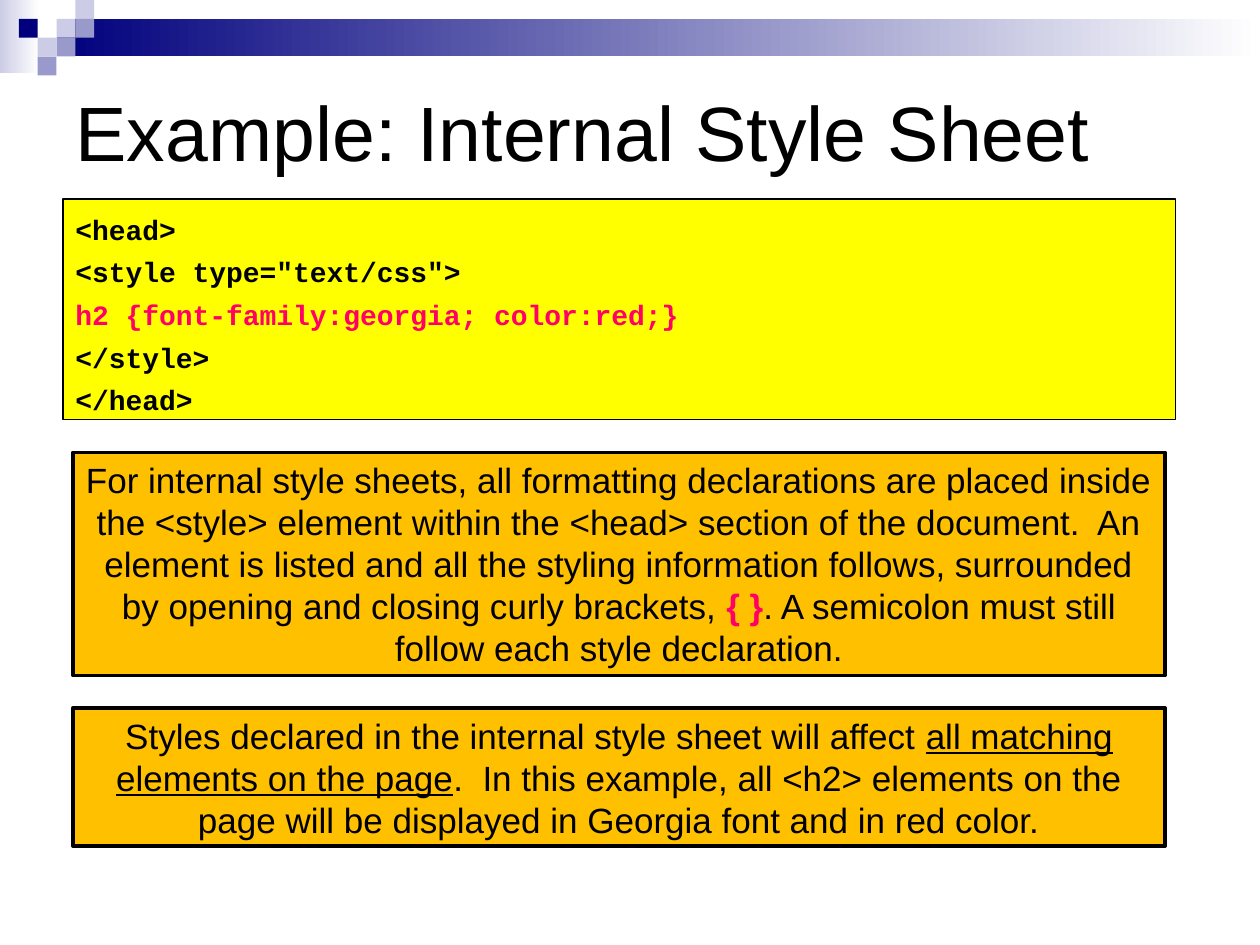
"""Build a slide that explains an internal style sheet with a code example."""

from pptx import Presentation
from pptx.dml.color import RGBColor
from pptx.enum.shapes import MSO_SHAPE
from pptx.enum.text import MSO_ANCHOR, PP_ALIGN
from pptx.util import Cm, Pt

RECTANGLE = MSO_SHAPE.RECTANGLE
TOP, MIDDLE = MSO_ANCHOR.TOP, MSO_ANCHOR.MIDDLE
LEFT, CENTER = PP_ALIGN.LEFT, PP_ALIGN.CENTER

BLACK = RGBColor(0x00, 0x00, 0x00)
WHITE = RGBColor(0xFF, 0xFF, 0xFF)
NAVY = RGBColor(0x00, 0x00, 0x7D)
LAVENDER = RGBColor(0xCC, 0xCC, 0xE6)
PERIWINKLE = RGBColor(0x99, 0x99, 0xCC)
YELLOW = RGBColor(0xFF, 0xFF, 0x00)
AMBER = RGBColor(0xFF, 0xC0, 0x00)
PINK = RGBColor(0xFF, 0x00, 0x66)

TITLE_FONT = {"name": "Arial", "size": Pt(44), "bold": False}
CODE_FONT = {"name": "Courier New", "size": Pt(16), "bold": True}
NOTE_FONT = {"name": "Arial", "size": Pt(20), "bold": False}
BOX_FRAME = {
    "word_wrap": True,
    "vertical_anchor": TOP,
    "margin_left": Cm(0.25),
    "margin_right": Cm(0.25),
    "margin_top": Cm(0.13),
    "margin_bottom": Cm(0.13),
}
CODE_FRAME = BOX_FRAME | {"margin_top": Cm(0.27)}

TILE = 0.38
TILES = [
    (3, 1, LAVENDER),
    (4, 0, LAVENDER),
    (4, 1, PERIWINKLE),
    (2, 2, LAVENDER),
    (1, 1, NAVY),
    (3, 2, PERIWINKLE),
    (2, 3, PERIWINKLE),
]

CODE_LINES = [
    ("<head>", BLACK),
    ('<style type="text/css">', BLACK),
    ("h2 {font-family:georgia; color:red;}", PINK),
    ("</style>", BLACK),
    ("</head>", BLACK),
]
PLACEMENT_NOTE = [
    ("For internal style sheets, all formatting declarations are placed inside "
     "the <style> element within the <head> section of the document.  An element "
     "is listed and all the styling information follows, surrounded by opening "
     "and closing curly brackets, ", BLACK, {}),
    ("{ }", PINK, {"bold": True}),
    (". A semicolon must still follow each style declaration.", BLACK, {}),
]
EFFECT_NOTE = [
    ("Styles declared in the internal style sheet will affect ", BLACK, {}),
    ("all matching elements on the page", BLACK, {"underline": True}),
    (".  In this example, all <h2> elements on the page will be displayed in "
     "Georgia font and in red color.", BLACK, {}),
]


def apply_format(target, values):
    """Set each named attribute of the target."""
    for name, value in values.items():
        setattr(target, name, value)


def add_rectangle(slide, left, top, width, height):
    """Add a rectangle, measured in centimetres, without shadow or line."""
    rectangle = slide.shapes.add_shape(
        RECTANGLE, Cm(left), Cm(top), Cm(width), Cm(height))
    rectangle.shadow.inherit = False
    rectangle.line.fill.background()
    return rectangle


def add_fade(slide, place, start):
    """Add a band that fades from the start colour to white."""
    fill = add_rectangle(slide, *place).fill
    fill.gradient()
    fill.gradient_angle = 0
    for stop, position, color in zip(fill.gradient_stops, (0, 1), (start, WHITE)):
        stop.position = position
        stop.color.rgb = color


def add_tile(slide, column, row, color):
    """Add one square of the corner mosaic."""
    tile = add_rectangle(slide, column * TILE, row * TILE, TILE, TILE)
    tile.fill.solid()
    tile.fill.fore_color.rgb = color


def add_box(slide, place, color, line_width, frame_format):
    """Add an outlined box and return its text frame."""
    box = add_rectangle(slide, *place)
    box.fill.solid()
    box.fill.fore_color.rgb = color
    box.line.color.rgb = BLACK
    box.line.width = Pt(line_width)
    apply_format(box.text_frame, frame_format)
    return box.text_frame


def add_run(paragraph, text, color, font_format):
    """Append a formatted run to the paragraph."""
    run = paragraph.add_run()
    run.text = text
    apply_format(run.font, font_format)
    run.font.color.rgb = color


def add_title(slide, text):
    """Place and fill the title placeholder."""
    title = slide.shapes.title
    apply_format(title, {"left": Cm(1.27), "top": Cm(1.27),
                         "width": Cm(22.86), "height": Cm(2.74)})
    apply_format(title.text_frame, {"word_wrap": True, "vertical_anchor": MIDDLE})
    heading = title.text_frame.paragraphs[0]
    heading.alignment = LEFT
    add_run(heading, text, BLACK, TITLE_FONT)


def add_code(slide, place, lines):
    """Add the code box with one paragraph per line."""
    frame = add_box(slide, place, YELLOW, 0.75, CODE_FRAME)
    for index, (text, color) in enumerate(lines):
        code_line = frame.add_paragraph() if index else frame.paragraphs[0]
        code_line.alignment = LEFT
        if index:
            code_line.space_before = Pt(5.2)
        add_run(code_line, text, color, CODE_FONT)


def add_note(slide, place, pieces):
    """Add a centred explanation made of formatted pieces."""
    note = add_box(slide, place, AMBER, 2, BOX_FRAME).paragraphs[0]
    note.alignment = CENTER
    for text, color, emphasis in pieces:
        add_run(note, text, color, NOTE_FONT | emphasis)


def main():
    """Build and save the slide."""
    deck = Presentation()
    apply_format(deck, {"slide_width": Cm(25.4), "slide_height": Cm(19.05)})
    slide = deck.slides.add_slide(deck.slide_layouts.get_by_name("Title Only"))

    add_fade(slide, (0, 0, 0.79, 1.47), LAVENDER)
    add_fade(slide, (1.14, 0.38, 24.26, 0.76), NAVY)
    for column, row, color in TILES:
        add_tile(slide, column, row, color)

    add_title(slide, "Example: Internal Style Sheet")
    add_code(slide, (1.27, 4.01, 22.43, 4.45), CODE_LINES)
    add_note(slide, (1.47, 14.27, 22.02, 2.79), EFFECT_NOTE)
    add_note(slide, (1.47, 9.12, 22.02, 4.5), PLACEMENT_NOTE)
    deck.save("out.pptx")


if __name__ == "__main__":
    main()
